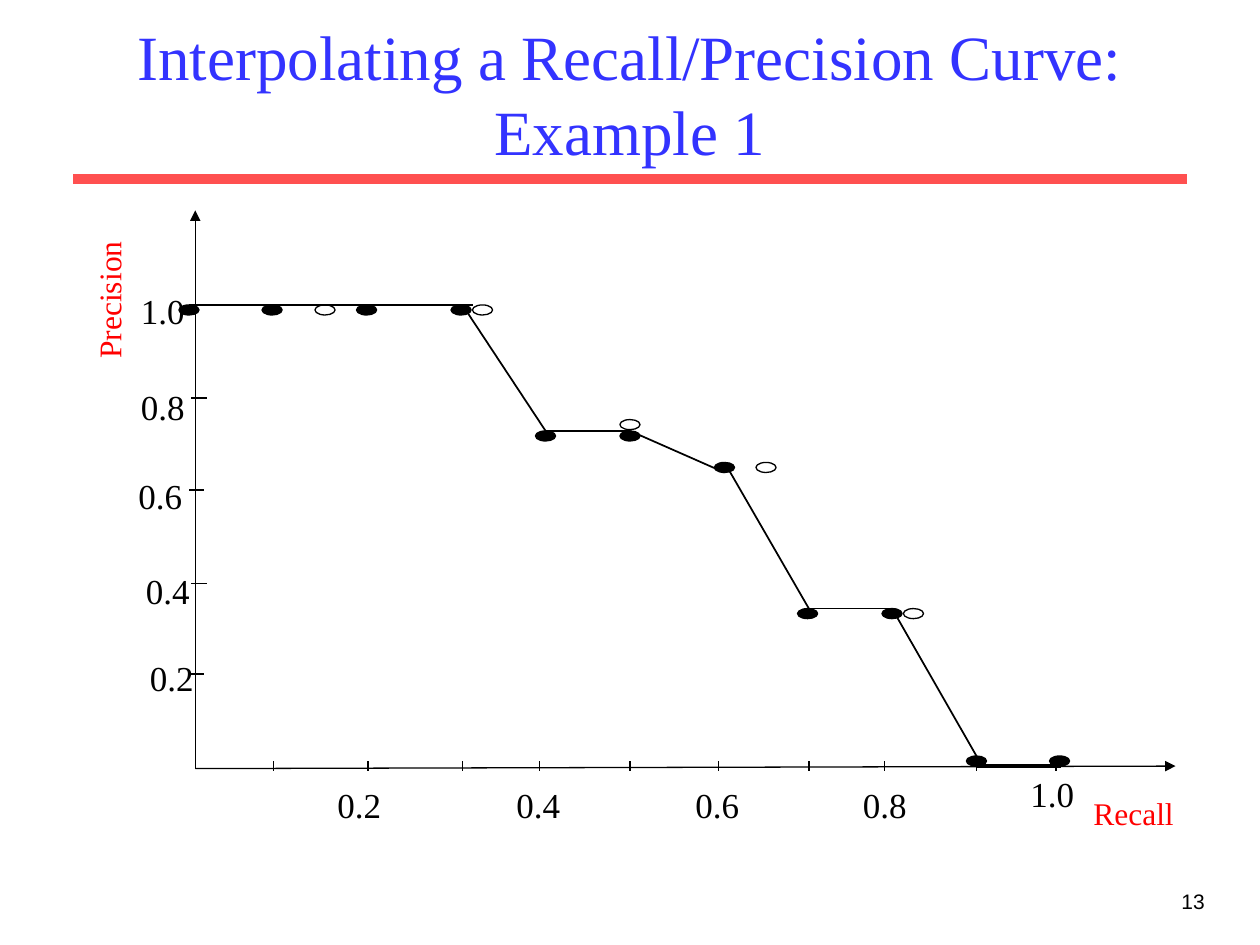
from itertools import pairwise
from typing import NamedTuple

from pptx import Presentation
from pptx import util as u
from pptx.dml.color import RGBColor
from pptx.enum import shapes, text
from pptx.oxml import parse_xml
from pptx.oxml.ns import nsdecls, qn

BLACK, RED, BLUE, CORAL = "000000", "FF0000", "3333FF", "FF5050"
SERIF = "Times New Roman"
MARKER_WIDTH, MARKER_HEIGHT = 0.16, 0.08
LABEL_SIZE = (0.55, 0.43)


class Point(NamedTuple):
    x: float
    y: float


class Label(NamedTuple):
    words: str
    left: float
    top: float


def length(inches: float) -> u.Length:
    return u.Cm(inches * 2.54)


def colour(code: str) -> RGBColor:
    return RGBColor.from_string(code)


def write(box, words: str, *, size: float = 20, font: str = SERIF, code: str = BLACK,
          align=text.PP_ALIGN.LEFT, anchor=text.MSO_ANCHOR.TOP, wrap: bool = False) -> None:
    frame = box.text_frame
    frame.word_wrap = wrap
    frame.auto_size = text.MSO_AUTO_SIZE.NONE if wrap else text.MSO_AUTO_SIZE.SHAPE_TO_FIT_TEXT
    frame.vertical_anchor = anchor
    para = frame.paragraphs[0]
    para.alignment = align
    span = para.add_run()
    span.text = words
    span.font.size = u.Pt(size)
    span.font.name = font
    span.font.color.rgb = colour(code)


def add_text(page, words: str, left: float, top: float, width: float, height: float, **style):
    box = page.shapes.add_textbox(*map(length, (left, top, width, height)))
    write(box, words, **style)
    return box


def add_line(page, start: Point, end: Point, *, weight: float = 0.75, code: str = BLACK,
             arrow: bool = False) -> None:
    line = page.shapes.add_connector(shapes.MSO_CONNECTOR.STRAIGHT, *map(length, (*start, *end)))
    line.line.width = u.Pt(weight)
    line.line.color.rgb = colour(code)
    properties = line._element.spPr
    if arrow:
        properties.find(qn("a:ln")).append(parse_xml(f'<a:tailEnd {nsdecls("a")} type="triangle"/>'))
    properties.append(parse_xml(f'<a:effectLst {nsdecls("a")}/>'))


def add_marker(page, corner: Point, *, filled: bool) -> None:
    marker = page.shapes.add_shape(shapes.MSO_SHAPE.OVAL,
                                   *map(length, (*corner, MARKER_WIDTH, MARKER_HEIGHT)))
    marker.shadow.inherit = False
    marker.line.width = u.Pt(0.75)
    marker.line.color.rgb = colour(BLACK)
    if filled:
        marker.fill.solid()
        marker.fill.fore_color.rgb = colour(BLACK)
    else:
        marker.fill.background()


deck = Presentation()
deck.slide_width, deck.slide_height = length(10), length(7.5)
page = deck.slides.add_slide(deck.slide_layouts[5])

# Title, rule and page number
add_line(page, Point(0.58, 1.42), Point(9.42, 1.42), weight=6, code=CORAL)
title = page.shapes.title
title.left, title.top, title.width, title.height = map(length, (0.75, 0.32, 8.5, 0.83))
write(title, "Interpolating a Recall/Precision Curve: Example 1", size=36, code=BLUE,
      align=text.PP_ALIGN.CENTER, anchor=text.MSO_ANCHOR.MIDDLE, wrap=True)
add_text(page, "13", 7.58, 7, 2.08, 0.5, size=12, font="Arial",
         align=text.PP_ALIGN.RIGHT, wrap=True)

# Axes with their names
origin = Point(1.55, 6.1)
add_line(page, origin, Point(1.55, 1.67), arrow=True)
add_line(page, origin, Point(9.33, 6.08), arrow=True)
add_text(page, "Recall", 8.58, 6.25, 0.84, 0.4, size=18, code=RED)
add_text(page, "Precision", 0.3, 2.18, 1.13, 0.4, size=18, code=RED).rotation = 270

# Tick marks
for x in (2.17, 2.92, 3.67, 4.28, 5, 5.7, 6.42, 7.02, 7.75, 8.38):
    add_line(page, Point(x, 6.04), Point(x, 6.12))
for x, y in ((1.51, 2.42), (1.52, 3.16), (1.5, 3.89), (1.52, 4.63), (1.5, 5.35)):
    add_line(page, Point(x, y), Point(x + 0.12, y))

# Tick labels: precision, then recall
LABELS = (
    Label("1.0", 1.02, 2.25), Label("0.8", 1.02, 3.01), Label("0.6", 1, 3.72),
    Label("0.4", 1.06, 4.47), Label("0.2", 1.09, 5.16),
    Label("0.2", 2.58, 6.17), Label("0.4", 4, 6.17), Label("0.6", 5.42, 6.17),
    Label("0.8", 6.75, 6.17), Label("1.0", 8.08, 6.08),
)
for label in LABELS:
    add_text(page, *label, *LABEL_SIZE)

# Interpolated points are filled, measured points are hollow
INTERPOLATED = (
    Point(1.42, 2.42), Point(2.08, 2.42), Point(2.83, 2.42), Point(3.58, 2.42),
    Point(4.25, 3.42), Point(4.92, 3.42), Point(5.67, 3.67), Point(6.33, 4.83),
    Point(7, 4.83), Point(7.67, 6), Point(8.33, 6),
)
MEASURED = (Point(2.5, 2.42), Point(3.75, 2.42), Point(4.92, 3.33),
            Point(6, 3.67), Point(7.17, 4.83))
for points, filled in ((INTERPOLATED, True), (MEASURED, False)):
    for point in points:
        add_marker(page, point, filled=filled)

# Curve, in runs of joined segments
CURVE = (
    (Point(1.5, 2.42), Point(3.75, 2.42)),
    (Point(3.67, 2.42), Point(4.33, 3.42), Point(5, 3.42), Point(5.75, 3.75)),
    (Point(5.75, 3.67), Point(6.42, 4.83), Point(7.08, 4.83), Point(7.75, 6)),
)
for stretch in CURVE:
    for start, end in pairwise(stretch):
        add_line(page, start, end, weight=1)
add_line(page, Point(7.75, 6.08), Point(8.42, 6.08), weight=2.25)

deck.save("out.pptx")
